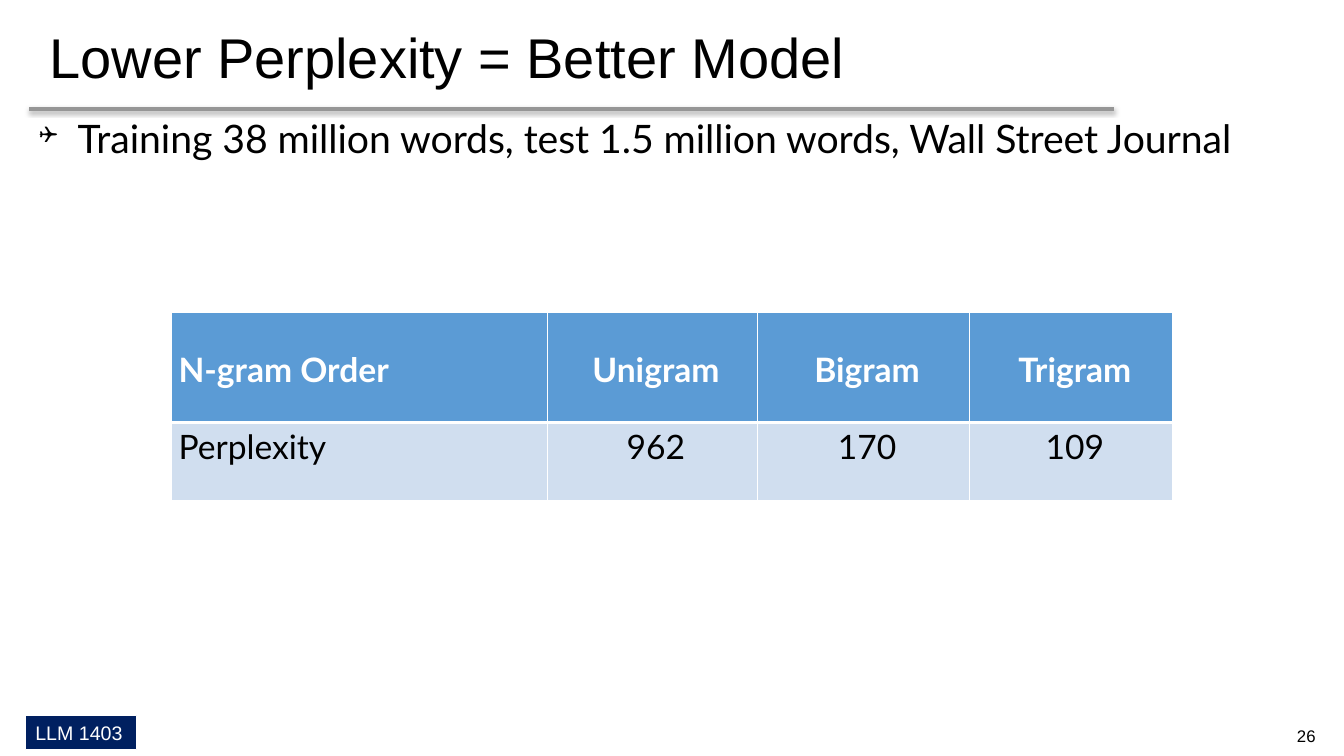
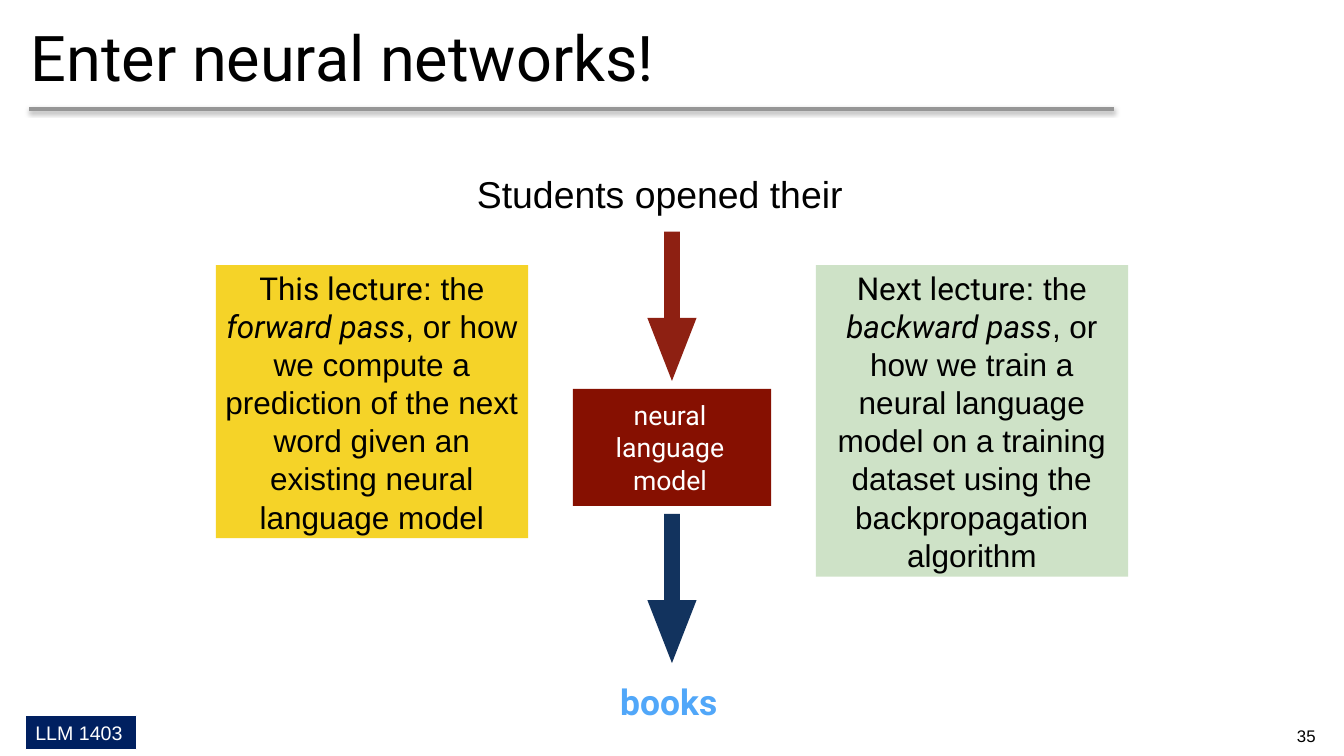
"""Build two lecture slides on perplexity and neural language models."""
from lxml import etree
from pptx import Presentation
from pptx import util as u
from pptx.dml.color import RGBColor
from pptx.enum import shapes, text
from pptx.oxml import ns


class Theme:
    black, white, navy, grey = "000000", "FFFFFF", "002060", "969696"
    header, row = "5B9BD5", "D0DEEF"
    red, blue, sky = "861001", "002452", "51A7F9"
    yellow, green = "F5D328", "91BF81"
    sans, body, display = "Arial", "Lato", "Roboto"
    title, display_title, bullet, table = 40, 45, 28, 24
    prompt, answer, card, model, badge, page = 26.7, 25.3, 22.5, 19, 14, 12


SLIDE_W, SLIDE_H = 33.87, 19.05
MARGIN, CONTENT_W = 0.74, 32.39
RULE_Y, RULE_END = 2.74, 28.07
PADDING = (0.25, 0.13, 0.25, 0.13)
BADGE = "LLM 1403"

PERPLEXITY = {
    "page": "26",
    "title": "Lower Perplexity = Better Model",
    "bullet": "Training 38 million words, test 1.5 million words, Wall Street Journal",
    "rows": [
        ["N-gram Order", "Unigram", "Bigram", "Trigram"],
        ["Perplexity", "962", "170", "109"],
    ],
    "column_widths": [9.47, 5.3, 5.34, 5.13],
    "row_heights": [2.78, 1.96],
}
NEURAL = {
    "page": "35",
    "title": "Enter neural networks!",
    "prompt": "Students opened their",
    "model": "neural language model",
    "answer": "books",
    "cards": [
        {"lead": "This lecture", "term": "forward pass",
         "rest": ", or how we compute a prediction of the next word given an "
                 "existing neural language model",
         "fill": Theme.yellow, "alpha": 100, "height": 6.88, "inset": 0.13},
        {"lead": "Next lecture", "term": "backward pass",
         "rest": ", or how we train a neural language model on a training dataset "
                 "using the backpropagation algorithm",
         "fill": Theme.green, "alpha": 44, "height": 7.85, "inset": 0.28},
    ],
}


def sub(parent, tag, **attributes):
    return etree.SubElement(parent, ns.qn(tag), {k: str(v) for k, v in attributes.items()})


def write(holder, runs, size, font=Theme.sans, color=Theme.black, bold=False, align="LEFT",
          anchor="TOP", insets=(0, 0, 0, 0), indent=0, hanging=0, spacing=None,
          bullet=None, tracking=0):
    """Write one paragraph in a text frame or cell; a run is text or (text, font, italic)."""
    frame = getattr(holder, "text_frame", holder)
    if frame is holder:
        frame.word_wrap = True
    holder.vertical_anchor = getattr(text.MSO_ANCHOR, anchor)
    (holder.margin_left, holder.margin_top,
     holder.margin_right, holder.margin_bottom) = [u.Cm(inset) for inset in insets]
    paragraph = frame.paragraphs[0]
    paragraph.alignment = getattr(text.PP_ALIGN, align)
    properties = paragraph._p.get_or_add_pPr()
    properties.set("marL", str(u.Cm(indent)))
    properties.set("indent", str(u.Cm(-hanging)))
    if bullet:
        sub(properties, "a:buSzPct", val=60000)
        sub(properties, "a:buFont", typeface="Wingdings")
        sub(properties, "a:buChar", char=bullet)
    if spacing:
        paragraph.line_spacing = spacing
    for words, face, italic in [(runs, font, False)] if isinstance(runs, str) else runs:
        run = paragraph.add_run()
        run.text = words
        run.font.name, run.font.size = face, u.Pt(size)
        run.font.bold, run.font.italic = bold, italic
        run.font.color.rgb = RGBColor.from_string(color)
        if tracking:
            run._r.get_or_add_rPr().set("spc", str(tracking))


def box_text(slide, place, runs, size, **format):
    label = slide.shapes.add_textbox(*map(u.Cm, place))
    write(label.text_frame, runs, size, **format)


def block(slide, kind, place, fill, alpha=100, line=None):
    part = slide.shapes.add_shape(getattr(shapes.MSO_SHAPE, kind), *map(u.Cm, place))
    part.shadow.inherit = False
    part.fill.solid()
    part.fill.fore_color.rgb = RGBColor.from_string(fill)
    if alpha < 100:
        shade = part._element.spPr.find(".//" + ns.qn("a:srgbClr"))
        sub(shade, "a:alpha", val=alpha * 1000)
    if line:
        part.line.color.rgb = RGBColor.from_string(line)
        part.line.width = u.Pt(0.75)
    else:
        part.line.fill.background()
    return part


def start_slide(deck, content, size, **title_format):
    slide = deck.slides.add_slide(deck.slide_layouts[6])
    badge = block(slide, "RECTANGLE", (0.64, 18.03, 2.81, 0.86), Theme.navy, line=Theme.white)
    write(badge.text_frame, BADGE, Theme.badge, color=Theme.white, insets=PADDING)
    rule = slide.shapes.add_connector(shapes.MSO_CONNECTOR.STRAIGHT, u.Cm(MARGIN),
                                      u.Cm(RULE_Y), u.Cm(RULE_END), u.Cm(RULE_Y))
    rule.line.color.rgb = RGBColor.from_string(Theme.grey)
    rule.line.width = u.Pt(3)
    effects = sub(rule._element.spPr, "a:effectLst")
    shadow = sub(effects, "a:outerShdw", blurRad=u.Pt(3.1), dist=u.Pt(1.8),
                 dir=90 * 60000, rotWithShape=0)
    sub(sub(shadow, "a:srgbClr", val=Theme.black), "a:alpha", val=35000)
    box_text(slide, (MARGIN, 0.07, CONTENT_W, 2.69), content["title"], size,
             anchor="MIDDLE", **title_format)
    box_text(slide, (31.98, 18.03, 1.88, 1.02), content["page"], Theme.page,
             align="CENTER", anchor="MIDDLE")
    return slide


def paint_cell(cell, fill, borders):
    properties = cell._tc.get_or_add_tcPr()
    for side, width in borders.items():
        edge = sub(properties, "a:ln" + side, w=u.Pt(width))
        sub(sub(edge, "a:solidFill"), "a:srgbClr", val=Theme.white)
    cell.fill.solid()
    cell.fill.fore_color.rgb = RGBColor.from_string(fill)


def perplexity_slide(deck):
    slide = start_slide(deck, PERPLEXITY, Theme.title, indent=0.51)
    box_text(slide, (MARGIN, RULE_Y, CONTENT_W, 15.04), PERPLEXITY["bullet"], Theme.bullet,
             font=Theme.body, bullet="❑", indent=0.97, hanging=0.97, insets=PADDING,
             tracking=-4)
    rows, widths, heights = (PERPLEXITY[k] for k in ("rows", "column_widths", "row_heights"))
    table = slide.shapes.add_table(len(rows), len(widths), u.Cm(4.32), u.Cm(7.87),
                                   u.Cm(sum(widths)), u.Cm(sum(heights))).table
    table.horz_banding = False
    for column, width in zip(table.columns, widths):
        column.width = u.Cm(width)
    for r, (row, height) in enumerate(zip(rows, heights)):
        table.rows[r].height = u.Cm(height)
        head = r == 0
        for c, entry in enumerate(row):
            cell = table.cell(r, c)
            paint_cell(cell, Theme.header if head else Theme.row,
                       {"L": 1, "R": 1, "T": 1 if head else 3, "B": 3 if head else 1})
            write(cell, entry, Theme.table, font=Theme.body, bold=head, indent=0.18,
                  color=Theme.white if head else Theme.black,
                  align="CENTER" if c else "LEFT",
                  anchor="MIDDLE" if head else "TOP", insets=(0, 0.1, 0, 0))


def neural_slide(deck):
    slide = start_slide(deck, NEURAL, Theme.display_title, font=Theme.display, indent=0.03)
    box_text(slide, (11.99, 4.31, 9.88, 1.17), NEURAL["prompt"], Theme.prompt, indent=0.03)

    gap, y = 0.2, 5.84
    flow = [("DOWN_ARROW", 1.24, 3.76, Theme.red, 93),
            ("RECTANGLE", 5, 2.95, Theme.red, 100),
            ("DOWN_ARROW", 1.24, 3.76, Theme.blue, 93)]
    for kind, width, height, fill, alpha in flow:
        step = block(slide, kind, ((SLIDE_W - width) / 2, y, width, height), fill, alpha)
        if kind == "DOWN_ARROW":
            step.adjustments[0], step.adjustments[1] = 0.32, 1.28
        else:
            write(step.text_frame, NEURAL["model"], Theme.model, font=Theme.display,
                  color=Theme.white, align="CENTER", spacing=1.02,
                  insets=(0.2, 0.23, 0.3, 0.23))
        y += height + gap
    box_text(slide, (15.6, 17.14, 2.67, 1.09), NEURAL["answer"], Theme.answer,
             font=Theme.display, color=Theme.sky, bold=True, indent=0.03)

    side, width = 5.44, 7.87
    for x, card in zip((side, SLIDE_W - side - width), NEURAL["cards"]):
        panel = block(slide, "RECTANGLE", (x, 6.68, width, card["height"]),
                      card["fill"], card["alpha"])
        runs = [(card["lead"], Theme.display, False), (": the ", Theme.sans, False),
                (card["term"], Theme.display, True), (card["rest"], Theme.sans, False)]
        write(panel.text_frame, runs, Theme.card, align="CENTER", spacing=1.01,
              insets=(card["inset"], 0.08, card["inset"], 0))


def main():
    deck = Presentation()
    deck.slide_width, deck.slide_height = u.Cm(SLIDE_W), u.Cm(SLIDE_H)
    perplexity_slide(deck)
    neural_slide(deck)
    deck.save("out.pptx")


if __name__ == "__main__":
    main()
